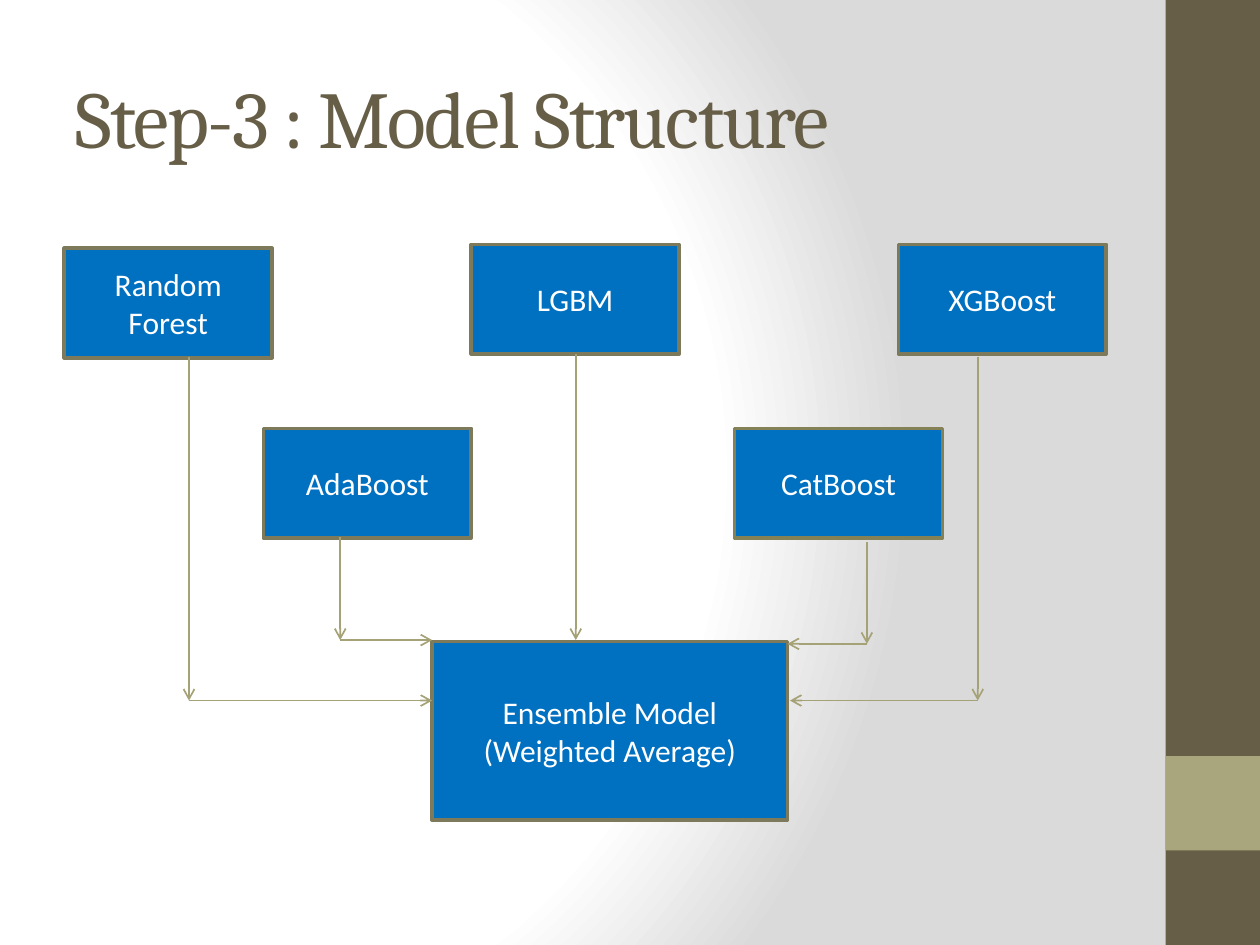
from dataclasses import dataclass

from lxml.etree import SubElement
from pptx import Presentation
from pptx.dml.color import RGBColor
from pptx.enum.shapes import MSO_CONNECTOR, MSO_SHAPE
from pptx.enum.text import MSO_ANCHOR, PP_ALIGN
from pptx.oxml.ns import qn
from pptx.util import Pt

EMU_PER_PX = 9144
OLIVE = "675E47"
SAGE = "A9A57C"
BLUE = "0070C0"
BORDER = "7D7A5C"
ARROW = "A6A278"
WHITE = "FFFFFF"
MODEL_WIDTH, MODEL_HEIGHT = 165, 87
TITLE_FORMAT = {"name": "Cambria", "size": Pt(46)}
LABEL_FORMAT = {"name": "Calibri", "size": Pt(18)}


@dataclass
class Node:
    lines: list[str]
    left: int
    top: int
    width: int = MODEL_WIDTH
    height: int = MODEL_HEIGHT
    border: str = BORDER


@dataclass
class Route:
    points: list[tuple[int, int]]


NODES = [
    Node(["Random Forest"], 51, 197),
    Node(["CatBoost"], 583, 340, border="858157"),
    Node(["AdaBoost"], 209, 340),
    Node(["LGBM"], 374, 194),
    Node(["XGBoost"], 713, 194),
    Node(["Ensemble Model", "(Weighted Average)"], 343, 509, 282, 142),
]
ROUTES = [
    Route([(150, 283), (150, 556), (343, 556)]),
    Route([(776, 283), (776, 556), (627, 556)]),
    Route([(270, 426), (270, 508), (343, 508)]),
    Route([(688, 430), (688, 511), (625, 511)]),
    Route([(457, 281), (457, 508)]),
]


def px(*values: int) -> list[int]:
    return [value * EMU_PER_PX for value in values]


def color(code: str) -> RGBColor:
    return RGBColor.from_string(code)


def paint_background(page) -> None:
    page.background.fill.gradient()
    gradient = page.element.find(".//" + qn("a:gradFill"))
    for child in list(gradient):
        gradient.remove(child)
    stops = SubElement(gradient, qn("a:gsLst"))
    for position, code in ((0, WHITE), (75, WHITE), (100, "DADADA")):
        stop = SubElement(stops, qn("a:gs"), pos=str(position * 1000))
        SubElement(stop, qn("a:srgbClr"), val=code)
    circle = SubElement(gradient, qn("a:path"), path="circle")
    SubElement(circle, qn("a:fillToRect"), l="20000", t="50000", r="100000", b="50000")


def add_rectangle(page, left: int, top: int, width: int, height: int, fill: str):
    box = page.shapes.add_shape(MSO_SHAPE.RECTANGLE, *px(left, top, width, height))
    box.shadow.inherit = False
    box.fill.solid()
    box.fill.fore_color.rgb = color(fill)
    box.line.fill.background()
    return box


def write_text(box, lines: list[str], text_format: dict, code: str, align: PP_ALIGN) -> None:
    frame = box.text_frame
    frame.word_wrap = True
    frame.vertical_anchor = MSO_ANCHOR.MIDDLE
    for index, line in enumerate(lines):
        para = frame.add_paragraph() if index else frame.paragraphs[0]
        para.alignment = align
        span = para.add_run()
        span.text = line
        for name, value in text_format.items():
            setattr(span.font, name, value)
        span.font.color.rgb = color(code)


def add_title(page, text: str) -> None:
    box = page.shapes.add_textbox(*px(50, 30, 833, 125))
    write_text(box, [text], TITLE_FORMAT, OLIVE, PP_ALIGN.LEFT)
    for properties in box.element.iter(qn("a:rPr")):
        properties.set("spc", "-100")


def add_node(page, node: Node) -> None:
    box = add_rectangle(page, node.left, node.top, node.width, node.height, BLUE)
    box.line.color.rgb = color(node.border)
    box.line.width = Pt(2)
    write_text(box, node.lines, LABEL_FORMAT, WHITE, PP_ALIGN.CENTER)


def add_route(page, route: Route) -> None:
    shapes = page.shapes
    if len(route.points) > 2:
        shapes = shapes.add_group_shape().shapes
    for start, end in zip(route.points, route.points[1:]):
        arrow = shapes.add_connector(MSO_CONNECTOR.STRAIGHT, *px(*start, *end))
        arrow.line.color.rgb = color(ARROW)
        arrow.line.width = Pt(1)
        properties = arrow.element.find(qn("p:spPr"))
        SubElement(properties.find(qn("a:ln")), qn("a:tailEnd"), type="arrow")
        SubElement(properties, qn("a:effectLst"))


def main() -> None:
    deck = Presentation()
    deck.slide_width, deck.slide_height = px(1000, 750)
    page = deck.slides.add_slide(deck.slide_layouts[6])
    paint_background(page)
    add_rectangle(page, 925, 0, 75, 750, OLIVE)
    add_rectangle(page, 925, 600, 75, 75, SAGE)
    add_title(page, "Step-3 : Model Structure")
    for node in NODES:
        add_node(page, node)
    for route in ROUTES:
        add_route(page, route)
    deck.save("out.pptx")


if __name__ == "__main__":
    main()
